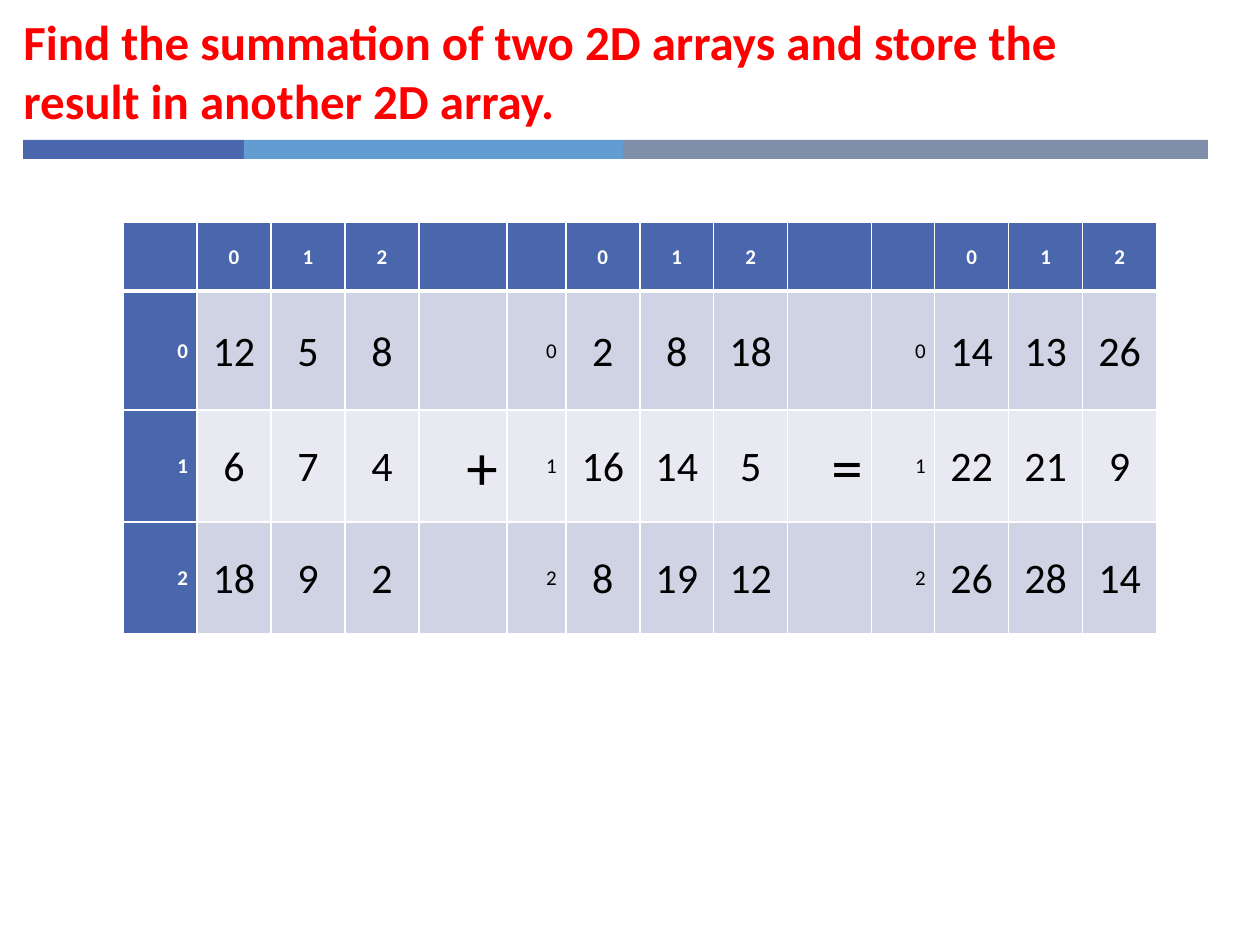
"""Build a slide that shows the sum of two 2D arrays in one table."""
from dataclasses import dataclass

from lxml import etree
from pptx import Presentation
from pptx import util as u
from pptx.dml.color import RGBColor
from pptx.enum import shapes, text
from pptx.oxml import ns

TITLE = "Find the summation of two 2D arrays and store the result in another 2D array."
FIRST = [[12, 5, 8], [6, 7, 4], [18, 9, 2]]
SECOND = [[2, 8, 18], [16, 14, 5], [8, 19, 12]]
RESULT = [[14, 13, 26], [22, 21, 9], [26, 28, 14]]
OPERATORS = {1: ("+", "=")}

SLIDE = (1260, 945)
TITLE_BOX = (11, 5, 1113, 131)
BAR_LEFT, BAR_TOP, BAR_HEIGHT = 23, 140, 19
BARS = [(221, "4A66AC"), (379, "629DD1"), (585, "7F8FA9")]
TABLE_LEFT, TABLE_TOP = 123, 222
CELL, CELL_INSET = 74, 9
COLUMNS = [CELL] * 4 + [88, 59] + [CELL] * 3 + [84, 63] + [CELL] * 3
ROWS = [69, 119, 112, 112]
INDEX_COLUMNS = (0, 5, 10)
OPERATOR_COLUMNS = (4, 9)


@dataclass(frozen=True)
class Theme:
    font: str = "Calibri"
    title: str = "FF0000"
    header: str = "4A66AC"
    header_text: str = "FFFFFF"
    body_text: str = "000000"
    bands: tuple = ("E9EAF1", "D0D3E3")
    border: str = "FFFFFF"
    title_size: int = 28
    index_size: int = 12
    value_size: int = 24
    operator_size: int = 36


THEME = Theme()


def px(value):
    return u.Emu(round(value * 914400 / 126))


def format_runs(paragraph, size, color, bold):
    for run in paragraph.runs:
        run.font.name = THEME.font
        run.font.size = u.Pt(size)
        run.font.bold = bold
        run.font.color.rgb = RGBColor.from_string(color)


def table_content():
    header = ["", 0, 1, 2]
    rows = [header + [""] + header + [""] + header]
    for index, (first, second, result) in enumerate(zip(FIRST, SECOND, RESULT)):
        plus, equals = OPERATORS.get(index, ("", ""))
        rows.append([index, *first, plus, index, *second, equals, index, *result])
    return rows


def set_borders(cell, row):
    widths = {"lnL": 1, "lnR": 1, "lnT": 3 if row == 1 else 1, "lnB": 3 if row == 0 else 1}
    properties = cell._tc.get_or_add_tcPr()
    for side, width in widths.items():
        line = etree.SubElement(properties, ns.qn(f"a:{side}"), w=str(u.Pt(width)))
        fill = etree.SubElement(line, ns.qn("a:solidFill"))
        etree.SubElement(fill, ns.qn("a:srgbClr"), val=THEME.border)


def style_cell(cell, row, column, value):
    is_header = row == 0 or column == 0
    set_borders(cell, row)
    cell.fill.solid()
    fill = THEME.header if is_header else THEME.bands[row % 2]
    cell.fill.fore_color.rgb = RGBColor.from_string(fill)
    cell.margin_left = cell.margin_right = px(CELL_INSET)
    cell.margin_top = cell.margin_bottom = 0
    cell.vertical_anchor = text.MSO_ANCHOR.MIDDLE
    if value == "":
        return
    cell.text_frame.text = str(value)
    paragraph = cell.text_frame.paragraphs[0]
    paragraph.line_spacing = 1.07
    is_right = row > 0 and column in INDEX_COLUMNS + OPERATOR_COLUMNS
    paragraph.alignment = text.PP_ALIGN.RIGHT if is_right else text.PP_ALIGN.CENTER
    if row == 0 or column in INDEX_COLUMNS:
        size = THEME.index_size
    elif column in OPERATOR_COLUMNS:
        size = THEME.operator_size
    else:
        size = THEME.value_size
    format_runs(paragraph, size, THEME.header_text if is_header else THEME.body_text, is_header)


def add_bars(slide):
    left = BAR_LEFT
    for width, color in BARS:
        bar = slide.shapes.add_shape(
            shapes.MSO_SHAPE.RECTANGLE, px(left), px(BAR_TOP), px(width), px(BAR_HEIGHT))
        bar.shadow.inherit = False
        bar.fill.solid()
        bar.fill.fore_color.rgb = RGBColor.from_string(color)
        bar.line.fill.background()
        left += width


def add_array_table(slide):
    table = slide.shapes.add_table(
        len(ROWS), len(COLUMNS), px(TABLE_LEFT), px(TABLE_TOP),
        px(sum(COLUMNS)), px(sum(ROWS))).table
    table.first_row = table.horz_banding = False
    for column, width in zip(table.columns, COLUMNS):
        column.width = px(width)
    for row, height in zip(table.rows, ROWS):
        row.height = px(height)
    for row, values in enumerate(table_content()):
        for column, value in enumerate(values):
            style_cell(table.cell(row, column), row, column, value)


def add_title(slide):
    frame = slide.shapes.add_textbox(*map(px, TITLE_BOX)).text_frame
    frame.word_wrap = True
    frame.text = TITLE
    format_runs(frame.paragraphs[0], THEME.title_size, THEME.title, True)


def main():
    presentation = Presentation()
    presentation.slide_width, presentation.slide_height = map(px, SLIDE)
    slide = presentation.slides.add_slide(presentation.slide_layouts[6])
    add_bars(slide)
    add_array_table(slide)
    add_title(slide)
    presentation.save("out.pptx")


if __name__ == "__main__":
    main()
